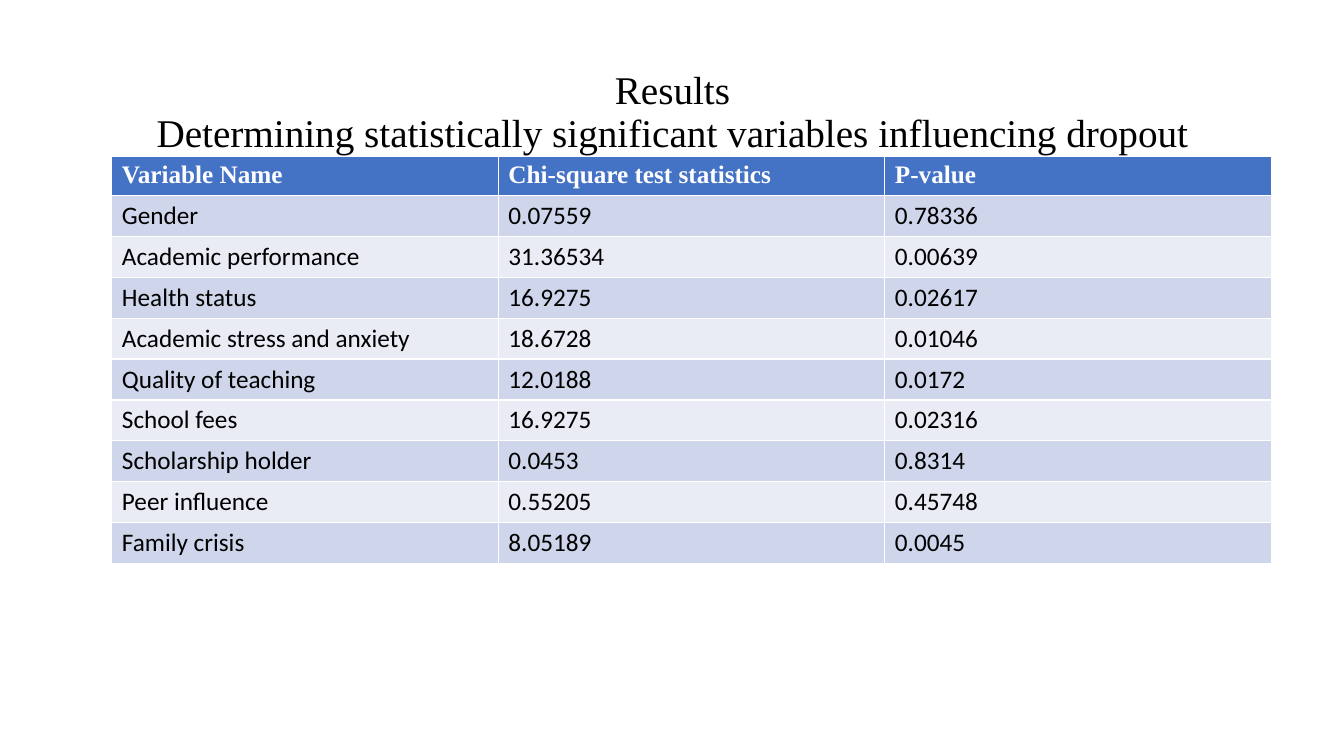
from copy import deepcopy
from dataclasses import dataclass

from pptx import Presentation
from pptx.dml.color import RGBColor
from pptx.enum.text import MSO_ANCHOR, MSO_AUTO_SIZE, PP_ALIGN
from pptx.oxml.ns import qn
from pptx.util import Inches, Pt


@dataclass(frozen=True)
class Theme:
    ink: str = "000000"
    white: str = "FFFFFF"
    head: str = "4472C4"
    bands: tuple = ("CFD5EA", "E9EBF5")
    serif: str = "Times New Roman"
    sans: str = "Calibri"
    title: int = 28
    body: int = 18


THEME = Theme()
TITLE = "Results\vDetermining statistically significant variables influencing dropout"
HEADS = ("Variable Name", "Chi-square test statistics", "P-value")
TESTS = (
    ("Gender", "0.07559", "0.78336"),
    ("Academic performance", "31.36534", "0.00639"),
    ("Health status", "16.9275", "0.02617"),
    ("Academic stress and anxiety", "18.6728", "0.01046"),
    ("Quality of teaching", "12.0188", "0.0172"),
    ("School fees", "16.9275", "0.02316"),
    ("Scholarship holder", "0.0453", "0.8314"),
    ("Peer influence", "0.55205", "0.45748"),
    ("Family crisis", "8.05189", "0.0045"),
)


def style(para, face, size, color, bold=False):
    for run in para.runs:
        font = run.font
        font.name, font.size, font.bold = face, Pt(size), bold
        font.color.rgb = RGBColor.from_string(color)


def set_title(slide, text):
    shape = slide.shapes.title
    shape.left, shape.top = Inches(0.92), Inches(0.4)
    shape.width, shape.height = Inches(11.5), Inches(1.45)
    frame = shape.text_frame
    frame.text = text
    frame.word_wrap = True
    frame.auto_size = MSO_AUTO_SIZE.NONE
    frame.vertical_anchor = MSO_ANCHOR.MIDDLE
    para = frame.paragraphs[0]
    para.alignment = PP_ALIGN.CENTER
    para.line_spacing = 0.9
    style(para, THEME.serif, THEME.title, THEME.ink)
    # A line break keeps the template's type size unless it is given its own.
    for gap in para._p.findall(qn("a:br")):
        gap.insert(0, deepcopy(para.runs[0]._r.rPr))


def fill_row(row, texts, fill, *look):
    row.height = Inches(0.39)
    for cell, text in zip(row.cells, texts):
        cell.text = text
        cell.fill.solid()
        cell.fill.fore_color.rgb = RGBColor.from_string(fill)
        style(cell.text_frame.paragraphs[0], *look)


def add_tests(slide):
    frame = slide.shapes.add_table(
        len(TESTS) + 1, len(HEADS),
        Inches(1.11), Inches(1.55), Inches(11.5), Inches(3.9))
    head, *rows = frame.table.rows
    fill_row(head, HEADS, THEME.head,
             THEME.serif, THEME.body, THEME.white, True)
    for i, (row, test) in enumerate(zip(rows, TESTS)):
        fill_row(row, test, THEME.bands[i % 2],
                 THEME.sans, THEME.body, THEME.ink)


def main():
    deck = Presentation()
    deck.slide_width, deck.slide_height = Inches(13.33), Inches(7.5)
    slide = deck.slides.add_slide(deck.slide_layouts.get_by_name("Title Only"))
    set_title(slide, TITLE)
    add_tests(slide)
    deck.save("out.pptx")


if __name__ == "__main__":
    main()
